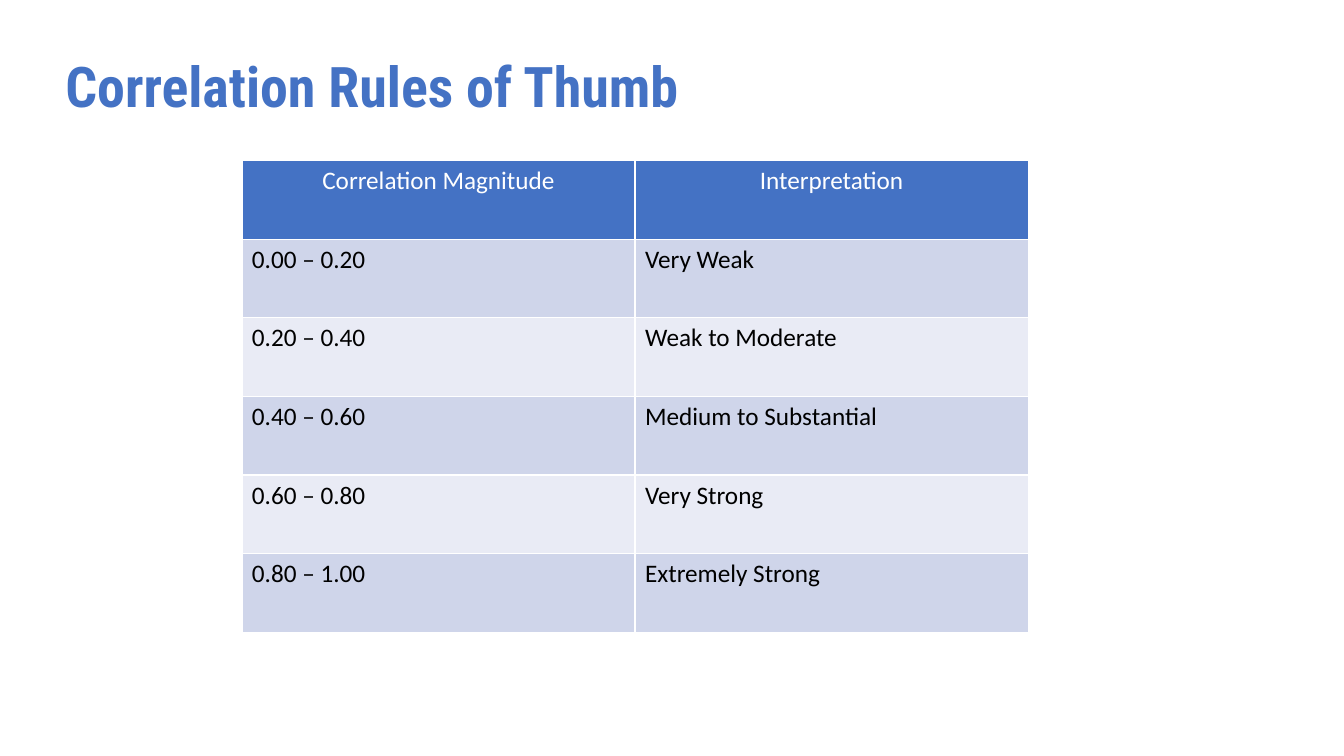
"""Build the correlation rules of thumb slide."""
from dataclasses import dataclass

import pptx
import pptx.dml.color
import pptx.enum.text
import pptx.util

Pt = pptx.util.Pt
Align = pptx.enum.text.PP_ALIGN
Anchor = pptx.enum.text.MSO_ANCHOR


@dataclass(frozen=True)
class Theme:
    """Colours, fonts and type sizes."""
    accent: str = "4472C4"
    header_text: str = "FFFFFF"
    body_text: str = "000000"
    bands: tuple = ("CFD5EA", "E9EBF5")
    title_font: str = "Roboto Condensed"
    table_font: str = "Calibri"
    title_size: int = 40
    table_size: int = 18


THEME = Theme()
RULES = [
    ("Correlation Magnitude", "Interpretation"),
    ("0.00 – 0.20", "Very Weak"),
    ("0.20 – 0.40", "Weak to Moderate"),
    ("0.40 – 0.60", "Medium to Substantial"),
    ("0.60 – 0.80", "Very Strong"),
    ("0.80 – 1.00", "Extremely Strong"),
]


def apply_format(target, values):
    """Set each named attribute on the target."""
    for name, value in values.items():
        setattr(target, name, value)


def write(frame, text, colour, font, para_format):
    """Put one formatted span in a text frame."""
    para = frame.paragraphs[0]
    apply_format(para, para_format)
    span = para.add_run()
    span.text = text
    apply_format(span.font, font)
    span.font.color.rgb = pptx.dml.color.RGBColor.from_string(colour)


def add_title(page, text):
    """Add the slide title."""
    box = page.shapes.add_textbox(Pt(39.6), Pt(37.44), Pt(828), Pt(53.28))
    apply_format(box.text_frame, {"word_wrap": True, "vertical_anchor": Anchor.MIDDLE})
    font = {"name": THEME.title_font, "size": Pt(THEME.title_size), "bold": True}
    write(box.text_frame, text, THEME.accent, font, {"line_spacing": 0.9})


def add_rules_table(page, rules):
    """Add the table with a header row and banded body rows."""
    table = page.shapes.add_table(
        len(rules), len(rules[0]), Pt(172.8), Pt(114.6), Pt(561.6), Pt(337.2)
    ).table
    font = {"name": THEME.table_font, "size": Pt(THEME.table_size), "bold": False}
    for row, texts in enumerate(rules):
        header = row == 0
        fill = THEME.accent if header else THEME.bands[(row - 1) % 2]
        colour = THEME.header_text if header else THEME.body_text
        align = Align.CENTER if header else Align.LEFT
        for column, text in enumerate(texts):
            cell = table.cell(row, column)
            cell.fill.solid()
            cell.fill.fore_color.rgb = pptx.dml.color.RGBColor.from_string(fill)
            write(cell.text_frame, text, colour, font, {"alignment": align})


def main():
    """Create and save the deck."""
    deck = pptx.Presentation()
    apply_format(deck, {"slide_width": Pt(960), "slide_height": Pt(540)})
    page = deck.slides.add_slide(deck.slide_layouts[6])
    add_title(page, "Correlation Rules of Thumb")
    add_rules_table(page, RULES)
    deck.save("out.pptx")


if __name__ == "__main__":
    main()
